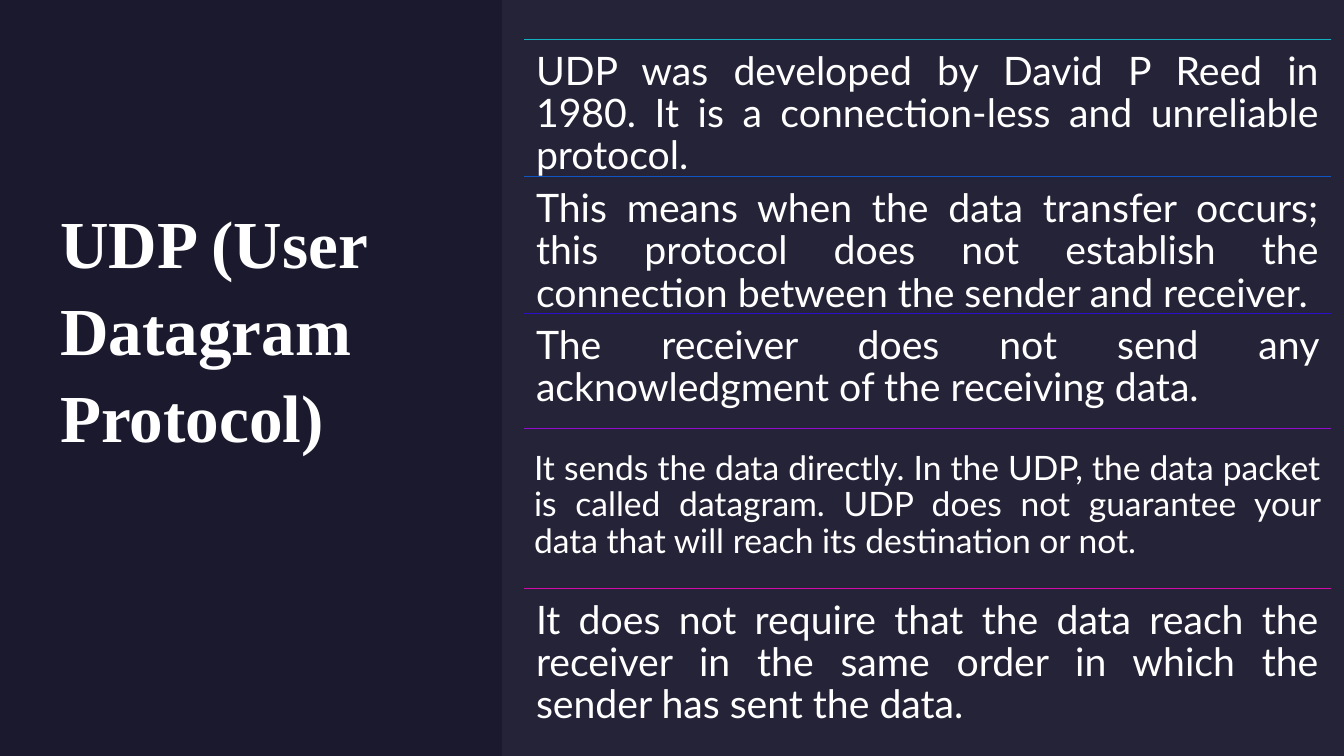
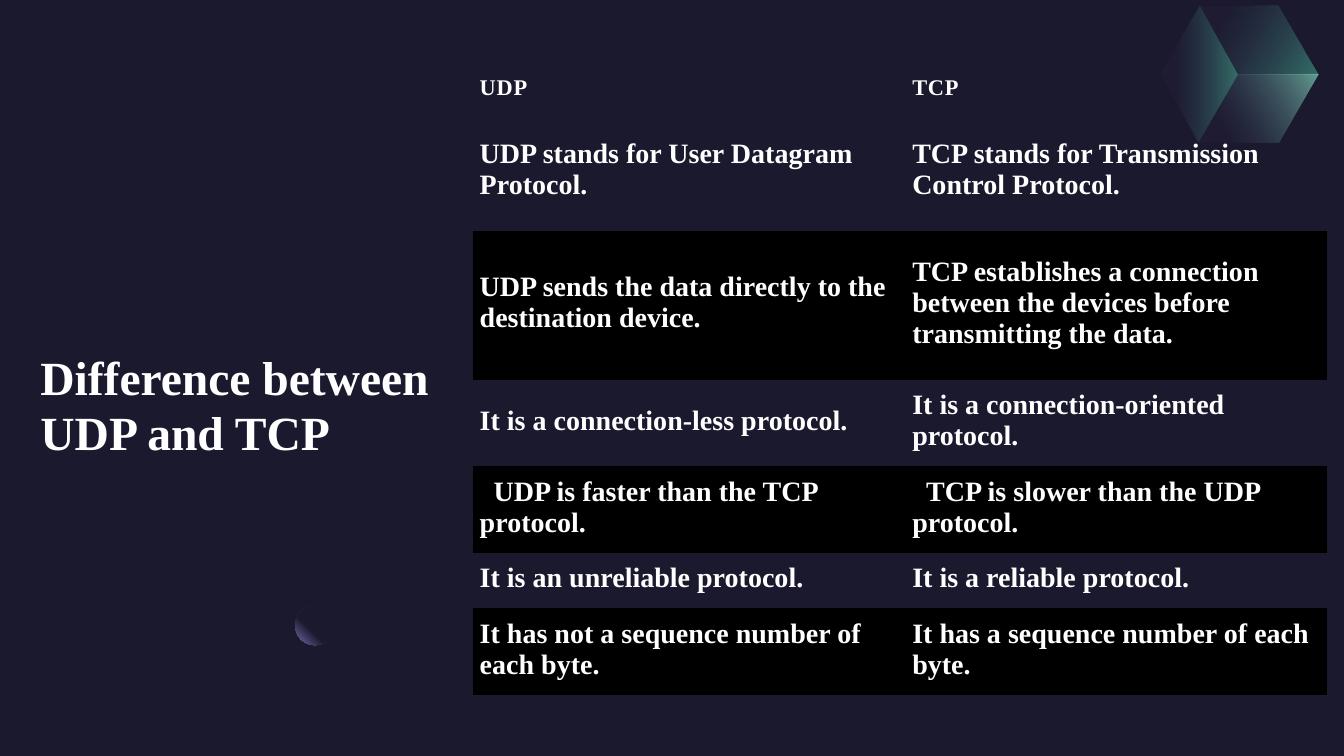
import pptx
import pptx.util
import pptx.dml.color
import pptx.enum.shapes
import pptx.enum.text
import pptx.oxml
import pptx.oxml.ns
from lxml import etree

Cm = pptx.util.Cm
Pt = pptx.util.Pt
qn = pptx.oxml.ns.qn
tint = pptx.dml.color.RGBColor.from_string
KIND = pptx.enum.shapes.MSO_SHAPE
ALIGN = pptx.enum.text.PP_ALIGN
ANCHOR = pptx.enum.text.MSO_ANCHOR

DARK = "1B192E"
WHITE = "FFFFFF"
SERIF = "Times New Roman"
SANS = "Lato"


def write(host, frame, text, size, font, bold, pads, anchor):
    """Put one run in a frame; host (frame or cell) holds pads (left, top, right, bottom)."""
    host.margin_left, host.margin_top, host.margin_right, host.margin_bottom = map(Cm, pads)
    host.vertical_anchor = anchor
    frame.word_wrap = True
    para = frame.paragraphs[0]
    run = para.add_run()
    run.text = text
    run.font.size = Pt(size)
    run.font.name = font
    run.font.bold = bold
    run.font.color.rgb = tint(WHITE)
    return para


def blend(shape, stops, course):
    """Fill with a gradient: stops are (percent, colour, opacity), course is its direction XML."""
    shape.shadow.inherit = False
    shape.line.fill.background()
    shape.fill.background()
    marks = "".join(
        f'<a:gs pos="{pos * 1000}"><a:srgbClr val="{hue}"><a:alpha val="{seen * 1000}"/></a:srgbClr></a:gs>'
        for pos, hue, seen in stops)
    props = shape._element.spPr
    props.replace(props.find(qn("a:noFill")), pptx.oxml.parse_xml(
        f'<a:gradFill {pptx.oxml.ns.nsdecls("a")} rotWithShape="1">'
        f'<a:gsLst>{marks}</a:gsLst>{course}</a:gradFill>'))


deck = pptx.Presentation()
deck.slide_width, deck.slide_height = Cm(33.87), Cm(19.05)

# Both slides: dark ground and a bold serif title on the left
heads = [
    ("UDP (User Datagram Protocol)", 1.52, 1.52, 13.36, 48, 1.08, ANCHOR.MIDDLE),
    ("Difference between UDP and TCP", 1.02, 7.39, 4.24, 34, 0.97, ANCHOR.BOTTOM),
]
slides = []
for text, left, top, high, size, lead, anchor in heads:
    slide = deck.slides.add_slide(deck.slide_layouts[6])
    slide.background.fill.solid()
    slide.background.fill.fore_color.rgb = tint(DARK)
    frame = slide.shapes.add_textbox(Cm(left), Cm(top), Cm(9.91), Cm(high)).text_frame
    para = write(frame, frame, text, size, SERIF, True, (0, 0, 0, 0), anchor)
    para.line_spacing = lead
    slides.append(slide)
facts, versus = slides

# Slide 1: pale panel with ruled facts
panel = facts.shapes.add_shape(KIND.RECTANGLE, Cm(12.65), 0, Cm(21.22), deck.slide_height)
panel.shadow.inherit = False
panel.line.fill.background()
panel.fill.solid()
panel.fill.fore_color.rgb = tint("E4E3F0")
pale = panel._element.spPr.find(qn("a:solidFill")).find(qn("a:srgbClr"))
etree.SubElement(pale, qn("a:alpha")).set("val", "5000")

# Rule top, gap to text, rule colour, text size, padding, text
notes = [
    (0.99, 0, "12B1BF", 28, 0.3,
     "UDP was developed by David P Reed in 1980. It is a connection-less and unreliable protocol."),
    (4.45, 0, "1055C4", 28, 0.3,
     "This means when the data transfer occurs; this protocol does not establish the connection "
     "between the sender and receiver."),
    (7.9, 0, "2A0EC9", 28, 0.3,
     "The receiver does not send any acknowledgment of the receiving data."),
    (10.8, 0.33, "910CCF", 24, 0.25,
     "It sends the data directly. In the UDP, the data packet is called datagram. UDP does not "
     "guarantee your data that will reach its destination or not."),
    (14.83, 0, "D40AA8", 28, 0.3,
     "It does not require that the data reach the receiver in the same order in which the sender "
     "has sent the data."),
]
left, wide = 13.21, 20.32
for top, gap, hue, size, pad, text in notes:
    rule = facts.shapes.add_connector(
        pptx.enum.shapes.MSO_CONNECTOR.STRAIGHT, Cm(left), Cm(top), Cm(left + wide), Cm(top))
    rule.line.color.rgb = tint(hue)
    rule.line.width = Pt(1)
    etree.SubElement(rule._element.spPr, qn("a:effectLst"))
    frame = facts.shapes.add_textbox(Cm(left), Cm(top + gap), Cm(wide), Cm(3.45)).text_frame
    para = write(frame, frame, text, size, SANS, False, [pad] * 4, ANCHOR.TOP)
    para.alignment = ALIGN.JUSTIFY
    para.line_spacing = 0.9

# Slide 2: glassy cube and crescent
hub, east, west = (31.19, 1.88), (33.22, 1.88), (29.24, 1.85)
north, peak = (30.23, 0.15), (32.21, 0.13)
south, foot = (30.2, 3.58), (32.23, 3.58)
faces = [
    ((peak, north, hub, east), "5BEFC1", 40, 30),
    ((south, west, north, hub), "5BEFC1", 40, 0),
    ((east, foot, south, hub), "92F4D6", 60, 330),
]
for points, hue, seen, turn in faces:
    spots = [(Cm(x), Cm(y)) for x, y in points]
    pen = versus.shapes.build_freeform(*spots[0])
    pen.add_line_segments(spots[1:], close=True)
    blend(pen.convert_to_shape(), [(20, "2C284A", 20), (100, hue, seen)],
          f'<a:lin ang="{turn * 60000}" scaled="0"/>')

moon = versus.shapes.add_shape(KIND.OVAL, Cm(7.44), Cm(15.27), Cm(0.99), Cm(0.99))
blend(moon, [(60, DARK, 100), (100, "7771B2", 100)],
      '<a:path path="circle"><a:fillToRect l="100000" b="100000"/></a:path>')

# Slide 2: comparison table
rows = [
    (1.32, "UDP", "TCP"),
    (2.97, "UDP stands for User Datagram Protocol.",
     "TCP stands for Transmission Control Protocol."),
    (3.76, "UDP sends the data directly to the destination device.",
     "TCP establishes a connection between the devices before transmitting the data."),
    (2.18, "It is a connection-less protocol.", "It is a connection-oriented protocol."),
    (2.18, "UDP is faster than the TCP protocol.", "TCP is slower than the UDP protocol."),
    (1.4, "It is an unreliable protocol.", "It is a reliable protocol."),
    (2.18, "It has not a sequence number of each byte.",
     "It has a sequence number of each byte."),
]
cols = [10.9, 10.62]
SPEED = 4  # row whose first lines are indented
grid = versus.shapes.add_table(
    len(rows), len(cols), Cm(11.91), Cm(1.52), Cm(sum(cols)), Cm(sum(row[0] for row in rows))).table
grid.first_row = grid.horz_banding = False
# The plain style, without borders
grid._tbl.tblPr.find(qn("a:tableStyleId")).text = "{2D5ABB26-0587-4C30-8999-92F81FD0307C}"
for col, wide in zip(grid.columns, cols):
    col.width = Cm(wide)
for i, (high, *texts) in enumerate(rows):
    grid.rows[i].height = Cm(high)
    for j, text in enumerate(texts):
        cell = grid.cell(i, j)
        if i and i % 2 == 0:
            cell.fill.solid()
            cell.fill.fore_color.rgb = tint("000000")
        else:
            cell.fill.background()
        if i == 0:
            para = write(cell, cell.text_frame, text, 16, SERIF, True,
                         (0.18, 0.3, 0.18, 0.3), ANCHOR.BOTTOM)
            para.runs[0].font._element.set("spc", "60")
        else:
            para = write(cell, cell.text_frame, text, 20, SERIF, True,
                         (0.18, 0.18, 0.18, 0.3), ANCHOR.MIDDLE)
        if i == SPEED:
            para._p.get_or_add_pPr().set("marL", "0")
            para._p.get_or_add_pPr().set("indent", str(Cm(0.35)))

deck.save("out.pptx")
